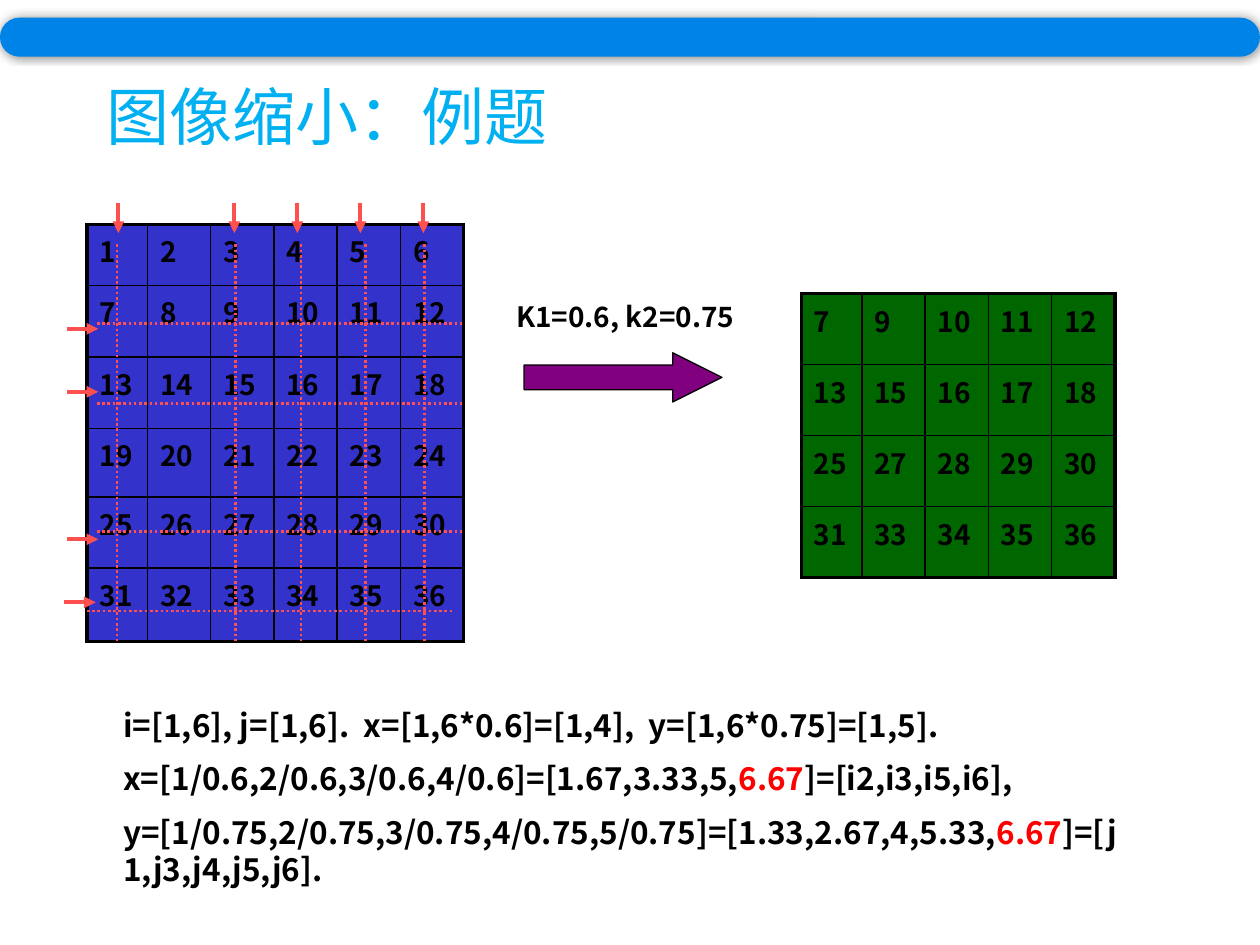
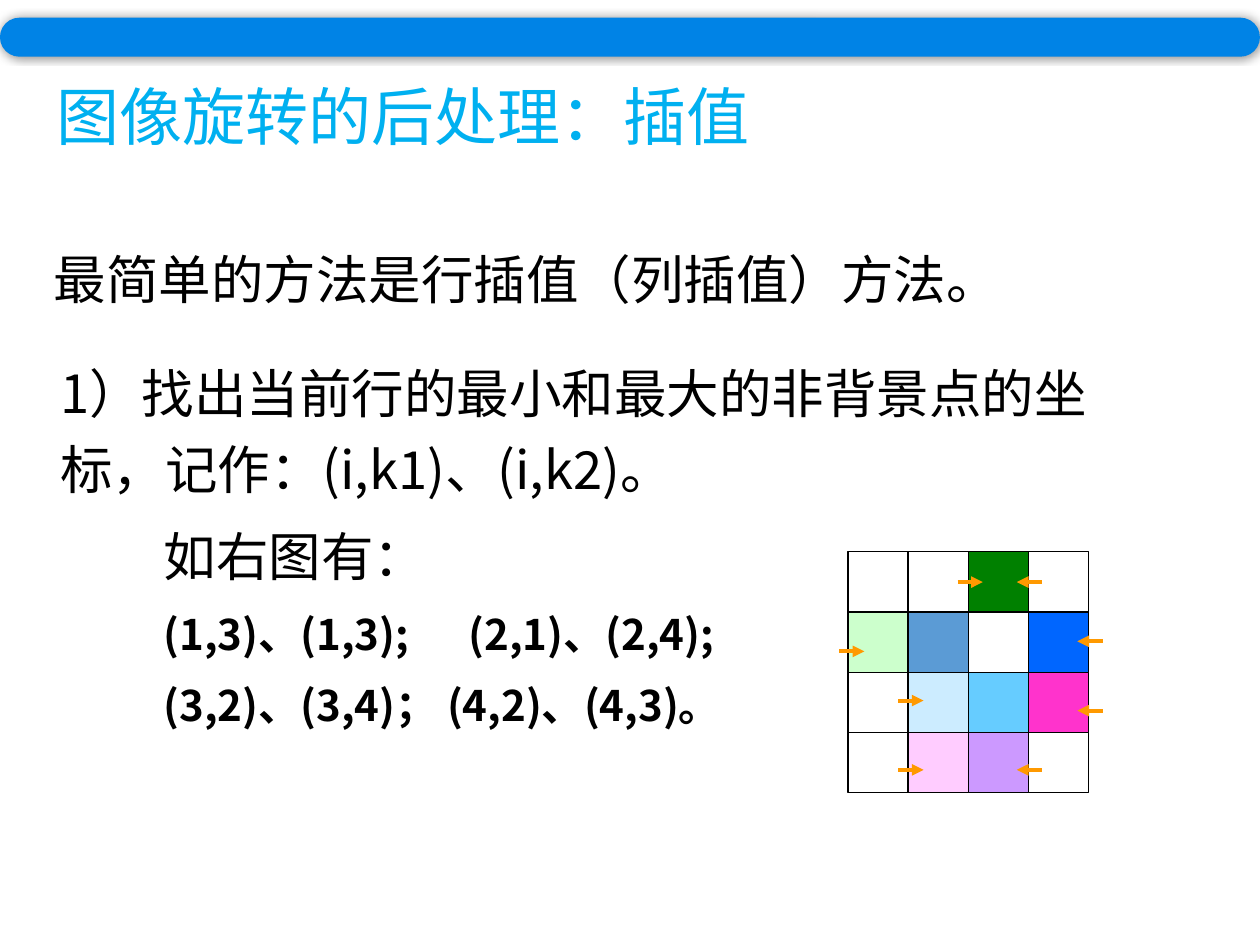
from lxml import etree
from pptx import Presentation
from pptx.dml.color import RGBColor
from pptx.enum.dml import MSO_LINE
from pptx.enum.shapes import MSO_CONNECTOR, MSO_SHAPE
from pptx.enum.text import MSO_ANCHOR
from pptx.oxml.ns import qn
from pptx.util import Inches, Pt

RECTANGLE, BAND, ARROW = MSO_SHAPE.RECTANGLE, MSO_SHAPE.ROUNDED_RECTANGLE, MSO_SHAPE.RIGHT_ARROW
STRAIGHT, DOTTED = MSO_CONNECTOR.STRAIGHT, MSO_LINE.ROUND_DOT
TOP, MIDDLE = MSO_ANCHOR.TOP, MSO_ANCHOR.MIDDLE

GRID = Inches(0.1)  # the slide is 100 columns by 75 rows
FONT = "Noto Sans CJK SC"
BLACK, WHITE, RED = "000000", "FFFFFF", "FF0000"
BAND_BLUE, TITLE_BLUE = "0083E6", "00B0F0"
SOURCE_BLUE, RESULT_GREEN, PURPLE = "3333CC", "006600", "800080"
MARK_RED, MARK_ORANGE = "FF5050", "FF9900"


def color(value):
    return RGBColor.from_string(value)


def grid(*lengths):
    return [round(length * GRID) for length in lengths]


def add_xml(parent, tag, **attributes):
    return etree.SubElement(parent, qn(tag), {key: str(value) for key, value in attributes.items()})


class Page:
    """Style of the deck and the slide being drawn."""

    def __init__(self, deck, title, title_at):
        self.slide = deck.slides.add_slide(deck.slide_layouts[6])
        self.band()
        self.text(title_at, [([(title, TITLE_BLUE)], 36, False)], spacing=0.9, anchor=MIDDLE)

    def band(self):
        band = self.shape(BAND, (0, 1.4, 100, 3.1), BAND_BLUE)
        band.adjustments[0] = 0.5
        effects = band._element.spPr.find(qn("a:effectLst"))
        shadow = add_xml(effects, "a:outerShdw", blurRad=Pt(5), dist=0, dir=0, algn="ctr", rotWithShape=0)
        shade = add_xml(shadow, "a:srgbClr", val=BLACK)
        add_xml(shade, "a:alpha", val=40000)

    def shape(self, kind, at, fill, outline=None):
        shape = self.slide.shapes.add_shape(kind, *grid(*at))
        shape.shadow.inherit = False
        shape.fill.solid()
        shape.fill.fore_color.rgb = color(fill)
        if outline:
            shape.line.color.rgb = color(outline)
            shape.line.width = Pt(0.75)
        else:
            shape.line.fill.background()
        return shape

    def span(self, para, text, size, bold, ink):
        span = para.add_run()
        span.text = text
        span.font.size = Pt(size)
        span.font.bold = bold
        span.font.color.rgb = color(ink)
        span.font.name = FONT
        add_xml(span._r.get_or_add_rPr(), "a:ea", typeface=FONT)

    def text(self, at, paras, spacing=None, anchor=TOP, tabs=()):
        """Each para is (spans, size, bold); each span is (text, colour)."""
        frame = self.slide.shapes.add_textbox(*grid(*at)).text_frame
        frame.word_wrap = True
        frame.vertical_anchor = anchor
        for index, (spans, size, bold) in enumerate(paras):
            para = frame.add_paragraph() if index else frame.paragraphs[0]
            if tabs:
                stops = add_xml(para._p.get_or_add_pPr(), "a:tabLst")
                for stop in grid(*tabs):
                    add_xml(stops, "a:tab", pos=stop, algn="l")
            if spacing:
                para.line_spacing = spacing
            if index:
                para.space_before = Pt(size / 2)
            for words, ink in spans:
                self.span(para, words, size, bold, ink)

    def line(self, start, end, ink, width, arrow=False):
        line = self.slide.shapes.add_connector(STRAIGHT, *grid(*start, *end))
        line.line.color.rgb = color(ink)
        line.line.width = Pt(width)
        if arrow:
            add_xml(line.line._get_or_add_ln(), "a:tailEnd", type="triangle")
        else:
            line.line.dash_style = DOTTED
        add_xml(line._element.spPr, "a:effectLst")

    def table(self, left, top, widths, heights, values, fill):
        frame = self.slide.shapes.add_table(
            len(heights), len(widths), *grid(left, top, sum(widths), sum(heights)))
        table = frame.table
        table.first_row = table.horz_banding = False
        for column, width in zip(table.columns, grid(*widths)):
            column.width = width
        for row, height in zip(table.rows, grid(*heights)):
            row.height = height
        for r, row in enumerate(values):
            for c, value in enumerate(row):
                cell = table.cell(r, c)
                outer = {"L": c == 0, "R": c == len(widths) - 1,
                         "T": r == 0, "B": r == len(heights) - 1}
                self.borders(cell, outer)
                cell.fill.solid()
                cell.fill.fore_color.rgb = color(fill)
                self.span(cell.text_frame.paragraphs[0], str(value), 16, True, BLACK)

    def borders(self, cell, outer):
        for side, is_outer in outer.items():
            border = add_xml(cell._tc.get_or_add_tcPr(), f"a:ln{side}", w=Pt(2.25 if is_outer else 1))
            add_xml(add_xml(border, "a:solidFill"), "a:srgbClr", val=BLACK)


def draw_shrinking(deck):
    page = Page(deck, "图像缩小：例题", (7.5, 2.8, 76.4, 13.4))

    arrow = page.shape(ARROW, (41.6, 28, 15.7, 3.9), PURPLE, BLACK)
    arrow.adjustments[1] = 1
    page.text((40, 23.3, 20.5, 3.7), [([("K1=0.6, k2=0.75", BLACK)], 16, True)])

    pixels = [[6 * row + column + 1 for column in range(6)] for row in range(6)]
    kept_rows, kept_columns = (1, 2, 4, 5), (0, 2, 3, 4, 5)
    kept = [[pixels[row][column] for column in kept_columns] for row in kept_rows]
    page.table(63.6, 23.3, [4.8] + [5.02] * 4, [5.64] * 4, kept, RESULT_GREEN)
    page.table(6.9, 17.8, [4.8] + [5.02] * 5, [4.85, 5.7, 5.65, 5.45, 5.65, 5.8], pixels, SOURCE_BLUE)

    for left, y in ((5.3, 26.1), (5.3, 31.1), (5.3, 42.8), (5.1, 47.8)):
        page.line((left, y), (left + 2.5, y), MARK_RED, 2.25, arrow=True)
    for x in (9.4, 18.6, 23.6, 28.6, 33.6):
        page.line((x, 16.1), (x, 18.5), MARK_RED, 2.25, arrow=True)
    for left, y in ((7.7, 25.7), (7.7, 32), (7.7, 42.2), (6.9, 48.5)):
        page.line((left, y), (left + 29.1, y), MARK_RED, 1.5)
    for x in (9.3, 18.7, 23.9, 29, 33.7):
        page.line((x, 19.4), (x, 50.9), MARK_RED, 1.5)

    steps = [
        [("i=[1,6], j=[1,6].\tx=[1,6*0.6]=[1,4],\ty=[1,6*0.75]=[1,5].", BLACK)],
        [("x=[1/0.6,2/0.6,3/0.6,4/0.6]=[1.67,3.33,5,", BLACK), ("6.67", RED),
         ("]=[i2,i3,i5,i6],", BLACK)],
        [("y=[1/0.75,2/0.75,3/0.75,4/0.75,5/0.75]=[1.33,2.67,4,5.33,", BLACK), ("6.67", RED),
         ("]=[j1,j3,j4,j5,j6].", BLACK)],
    ]
    page.text((8.8, 55.5, 81.2, 16.1), [(spans, 18, True) for spans in steps], tabs=(19.1, 41.7))


def draw_interpolation(deck):
    page = Page(deck, "图像旋转的后处理：插值", (3.5, 3.6, 90.6, 11.8))
    page.text((3.3, 19.7, 83.5, 5.6),
              [([("最简单的方法是行插值（列插值）方法。", BLACK)], 30, False)], spacing=0.9)

    pixel = 4.78
    pixel_colors = [
        [WHITE, WHITE, "008000", WHITE],
        ["CCFFCC", "5B9BD5", WHITE, "0066FF"],
        [WHITE, "CCECFF", "66CCFF", "FF33CC"],
        [WHITE, "FFCCFF", "CC99FF", WHITE],
    ]
    for row, fills in enumerate(pixel_colors):
        for column, fill in enumerate(fills):
            at = (67.3 + column * pixel, 43.8 + row * pixel, pixel, pixel)
            page.shape(RECTANGLE, at, fill, BLACK)

    page.text((3.8, 27.2, 87.4, 12.3),
              [([("1）找出当前行的最小和最大的非背景点的坐标，记作：(i,k1)、(i,k2)。", BLACK)], 30, False)],
              spacing=1.2)

    first_pixels = ((2, 46.2), (0, 51.7), (1, 55.6), (1, 61.1))
    last_pixels = ((2, 46.2), (3, 50.9), (3, 56.4), (2, 61.1))
    for column, y in first_pixels:
        x = 66.6 + column * 4.7
        page.line((x, y), (x + 2, y), MARK_ORANGE, 2.25, arrow=True)
    for column, y in last_pixels:
        x = 73.1 + column * 4.8
        page.line((x, y), (x - 2, y), MARK_ORANGE, 2.25, arrow=True)

    page.text((12, 41.1, 48.8, 18.2), [
        ([("如右图有：", BLACK)], 30, False),
        ([("(1,3)、(1,3);\t(2,1)、(2,4);", BLACK)], 24, True),
        ([("(3,2)、(3,4)； (4,2)、(4,3)。", BLACK)], 24, True),
    ], tabs=(24.2,))


def main():
    deck = Presentation()
    deck.slide_width, deck.slide_height = grid(100, 75)
    draw_shrinking(deck)
    draw_interpolation(deck)
    deck.save("out.pptx")


if __name__ == "__main__":
    main()
